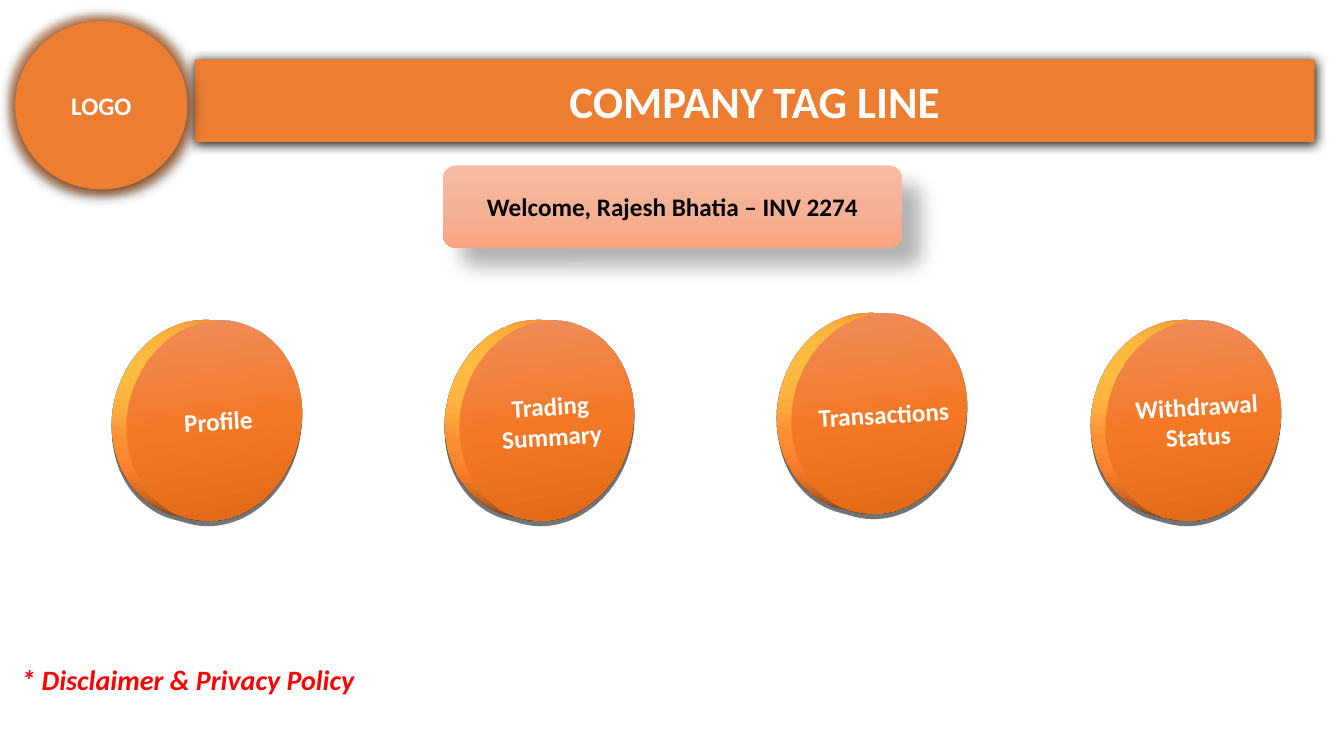
from copy import deepcopy

from lxml import etree
from pptx import Presentation
from pptx.dml.color import RGBColor
from pptx.enum.shapes import MSO_SHAPE
from pptx.enum.text import MSO_ANCHOR, MSO_AUTO_SIZE, PP_ALIGN
from pptx.oxml import parse_xml
from pptx.oxml.ns import nsdecls, qn
from pptx.util import Inches, Pt

ELLIPSE = MSO_SHAPE.OVAL
ROUNDED = MSO_SHAPE.ROUNDED_RECTANGLE
WAVE = MSO_SHAPE.DOUBLE_WAVE
CENTER = PP_ALIGN.CENTER
MIDDLE = MSO_ANCHOR.MIDDLE
NO_AUTOFIT = MSO_AUTO_SIZE.NONE
TITLE_ONLY = 5

FONT = "Calibri"
ORANGE = RGBColor(0xED, 0x7D, 0x31)
WHITE = RGBColor(0xFF, 0xFF, 0xFF)
BLACK = RGBColor(0x00, 0x00, 0x00)
RED = RGBColor(0xFF, 0x00, 0x00)
PEACH_STOPS = [RGBColor(0xF7, 0xBD, 0xA5), RGBColor(0xF5, 0xB1, 0x96), RGBColor(0xF8, 0xA5, 0x82)]
DISC_STOPS = [RGBColor(0xF1, 0x8C, 0x57), RGBColor(0xF6, 0x7B, 0x28), RGBColor(0xE5, 0x6C, 0x19)]

MENU = [("Profile", 1.11, 3.18), ("Trading Summary", 4.41, 3.18),
        ("Transactions", 7.71, 3.11), ("Withdrawal Status", 10.82, 3.18)]


def write_text(shape, text, size=18, color=WHITE, italic=False):
    frame = shape.text_frame
    frame.word_wrap = True
    frame.auto_size = NO_AUTOFIT
    frame.vertical_anchor = MIDDLE
    para = frame.paragraphs[0]
    para.alignment = CENTER
    span = para.add_run()
    span.text = text
    font = span.font
    font.name, font.size, font.bold, font.italic = FONT, Pt(size), True, italic
    font.color.rgb = color


def place(shape, box):
    shape.left, shape.top, shape.width, shape.height = (Inches(length) for length in box)


def add_plain_shape(page, preset, box):
    shape = page.shapes.add_shape(preset, *(Inches(length) for length in box))
    shape.shadow.inherit = False
    shape.fill.background()
    shape.line.fill.background()
    return shape


def fill_solid(shape, color):
    shape.fill.solid()
    shape.fill.fore_color.rgb = color


def fill_gradient(shape, colors):
    """Spread the colours evenly from top to bottom."""
    fill = shape.fill
    fill.gradient()
    fill.gradient_angle = 270
    stop_list = shape._element.spPr.find(".//" + qn("a:gsLst"))
    while len(stop_list) < len(colors):
        stop_list.append(deepcopy(stop_list[0]))
    for index, (stop, color) in enumerate(zip(fill.gradient_stops, colors)):
        stop.position = index / (len(colors) - 1)
        stop.color.rgb = color


def add_effect(shape, tag, color, alpha, **lengths):
    effects = shape._element.spPr.find(qn("a:effectLst"))
    effect = etree.SubElement(effects, qn("a:" + tag))
    for name, value in lengths.items():
        effect.set(name, str(int(value)))
    shade = etree.SubElement(effect, qn("a:srgbClr"), val=str(color))
    etree.SubElement(shade, qn("a:alpha"), val=str(alpha * 1000))


def add_shadow(shape, alpha, blur, distance, angle):
    add_effect(shape, "outerShdw", BLACK, alpha, blurRad=Pt(blur),
               dist=Pt(distance), dir=angle * 60000)


def tilt(shape):
    """Turn the shape into a thick disc seen in perspective."""
    properties = shape._element.spPr
    properties.append(parse_xml(
        f'<a:scene3d {nsdecls("a")}><a:camera prst="perspectiveFront" fov="3300000">'
        '<a:rot lat="486000" lon="19530000" rev="174000"/></a:camera>'
        '<a:lightRig rig="harsh" dir="t"><a:rot lat="0" lon="0" rev="3000000"/>'
        '</a:lightRig></a:scene3d>'))
    properties.append(parse_xml(
        f'<a:sp3d {nsdecls("a")} extrusionH="254000" contourW="19050">'
        '<a:bevelT w="82550" h="44450" prst="angle"/>'
        '<a:bevelB w="82550" h="44450" prst="angle"/>'
        f'<a:contourClr><a:srgbClr val="{WHITE}"/></a:contourClr></a:sp3d>'))


def add_logo_badge(page, box):
    badge = add_plain_shape(page, ELLIPSE, box)
    fill_solid(badge, ORANGE)
    add_effect(badge, "glow", ORANGE, 40, rad=Pt(8))
    add_shadow(badge, 100, 8.5, 1, 90)
    write_text(badge, "LOGO")


def add_tag_line(page, box):
    title = page.shapes.title
    place(title, box)
    title._element.spPr.append(parse_xml(
        f'<a:prstGeom {nsdecls("a")} prst="roundRect"><a:avLst/></a:prstGeom>'))
    fill_solid(title, ORANGE)
    title.shadow.inherit = False
    add_shadow(title, 100, 8.5, 1, 90)
    write_text(title, "COMPANY TAG LINE", size=32)


def add_welcome(page, box):
    banner = add_plain_shape(page, ROUNDED, box)
    fill_gradient(banner, PEACH_STOPS)
    add_shadow(banner, 30, 15, 18, 45)
    write_text(banner, "Welcome, Rajesh Bhatia – INV 2274", color=BLACK)


def add_menu_disc(page, label, box):
    disc = add_plain_shape(page, ELLIPSE, box)
    fill_gradient(disc, DISC_STOPS)
    add_shadow(disc, 33, 17.8, 4, 87)
    tilt(disc)
    write_text(disc, label)


def add_disclaimer(page, box):
    wave = add_plain_shape(page, WAVE, box)
    write_text(wave, "* Disclaimer & Privacy Policy", size=20, color=RED, italic=True)
    wave.text_frame.margin_bottom = Inches(0.32)


def main():
    deck = Presentation()
    deck.slide_width, deck.slide_height = Inches(13.33), Inches(7.5)
    page = deck.slides.add_slide(deck.slide_layouts[TITLE_ONLY])
    add_logo_badge(page, (0.15, 0.21, 1.71, 1.67))
    add_tag_line(page, (1.93, 0.59, 11.11, 0.82))
    add_welcome(page, (4.39, 1.64, 4.56, 0.82))
    for label, left, top in MENU:
        add_menu_disc(page, label, (left, top, 2.11, 1.99))
    add_disclaimer(page, (0.11, 6.46, 3.51, 0.82))
    deck.save("out.pptx")


if __name__ == "__main__":
    main()
